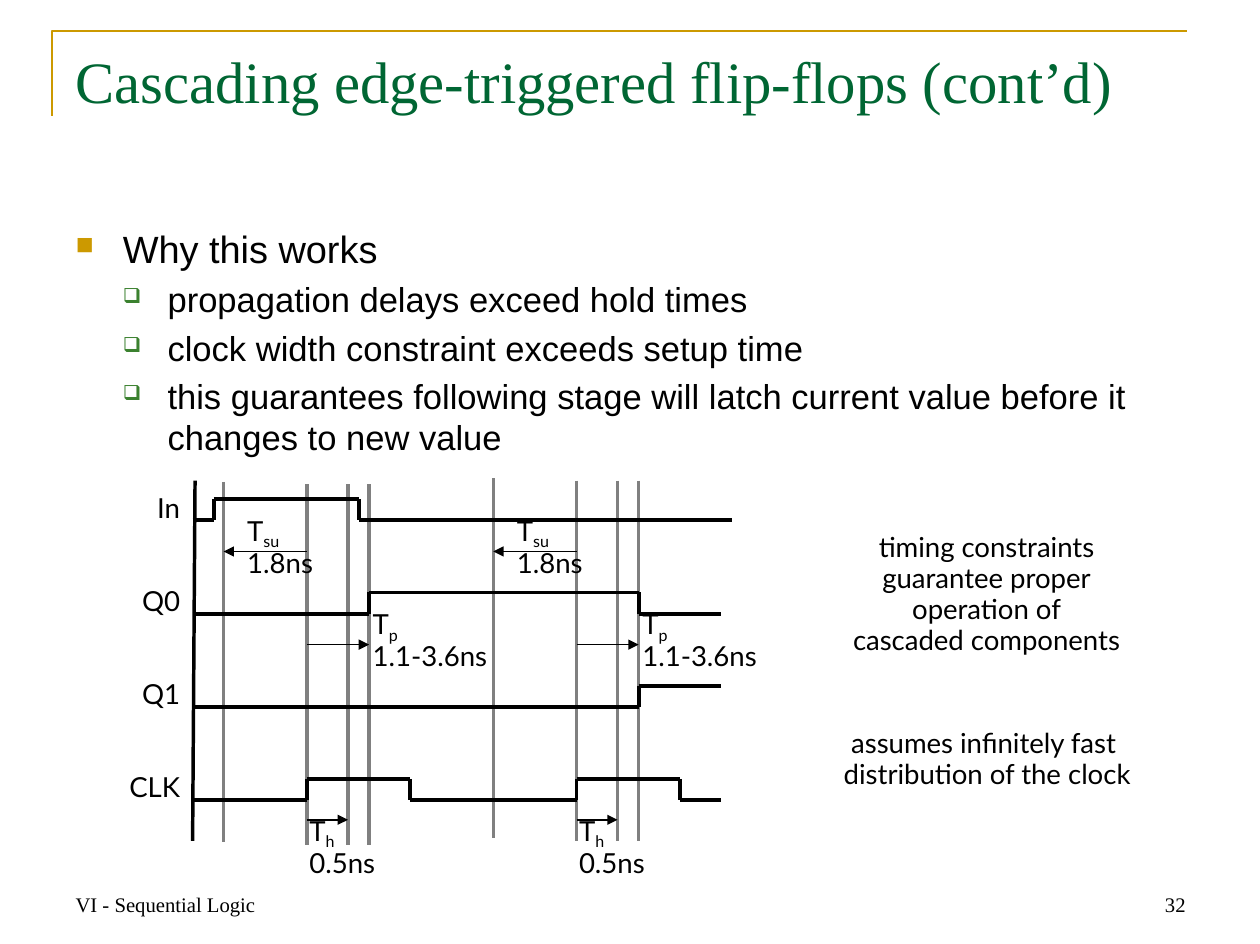
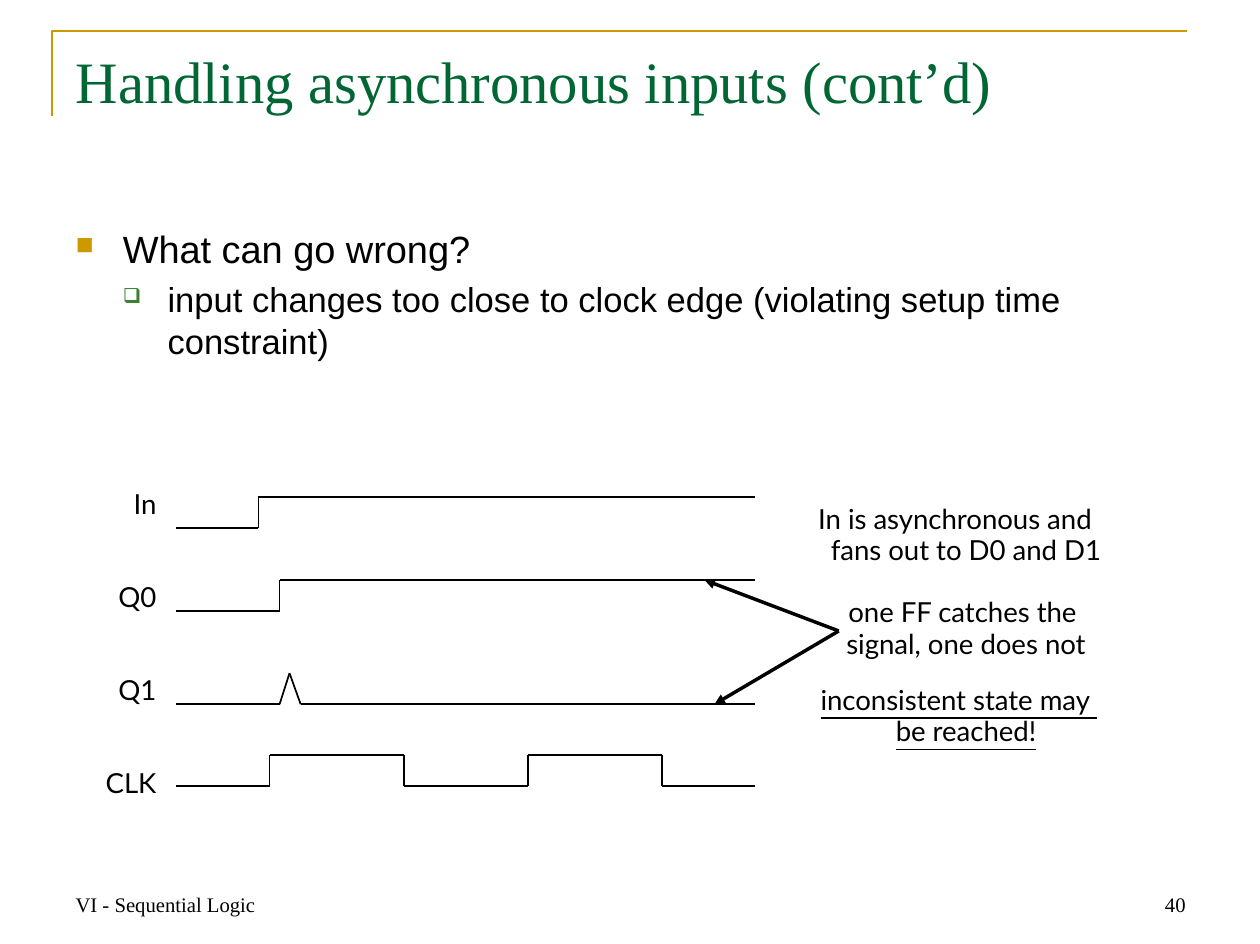
from itertools import pairwise
from lxml.etree import SubElement
from pptx import Presentation
from pptx.dml.color import RGBColor
from pptx.enum.shapes import MSO_CONNECTOR
from pptx.enum.text import MSO_ANCHOR, MSO_AUTO_SIZE, PP_ALIGN
from pptx.oxml.ns import qn
from pptx.util import Pt

PX = 9144  # 100 px to the inch
GOLD = RGBColor(0xCC, 0x99, 0x00)
PINE = RGBColor(0x00, 0x66, 0x33)
LEAF = RGBColor(0x3B, 0x81, 0x2F)
GREY = RGBColor(0x80, 0x80, 0x80)
BLACK = RGBColor(0, 0, 0)
SERIF, SANS, LABEL = "Times New Roman", "Arial", "Lato"
LEFT, MID, RIGHT = PP_ALIGN.LEFT, PP_ALIGN.CENTER, PP_ALIGN.RIGHT


def line(slide, points, width, color=BLACK, arrow=False):
    """Join the points by straight lines, with an arrowhead if asked."""
    for start, end in pairwise(points):
        ends = [n * PX for n in start + end]
        link = slide.shapes.add_connector(MSO_CONNECTOR.STRAIGHT, *ends)
        link.line.color.rgb = color
        link.line.width = Pt(width)
        props = link.element.spPr
        if arrow:
            SubElement(props.find(qn("a:ln")), qn("a:tailEnd"), type="triangle")
        SubElement(props, qn("a:effectLst"))


def text(slide, box, rows, align=LEFT, pitch=None, font=LABEL, size=16,
         pad=(2, 3), wrap=False):
    """Add one paragraph per row; the second run of a row is a subscript."""
    frame = slide.shapes.add_textbox(*[n * PX for n in box]).text_frame
    frame.word_wrap = wrap
    frame.margin_left = frame.margin_right = pad[0] * PX
    frame.margin_top = frame.margin_bottom = pad[1] * PX
    for i, row in enumerate(rows):
        para = frame.add_paragraph() if i else frame.paragraphs[0]
        para.alignment = align
        if pitch:
            para.line_spacing = Pt(pitch)
        for j, words in enumerate(row):
            for k, piece in enumerate(words.split("\n")):
                if k:
                    para.add_line_break()
                run = para.add_run()
                run.text = piece
                run.font.name = font
                run.font.size = Pt(size)
                run.font.color.rgb = BLACK
                if j:
                    run._r.get_or_add_rPr().set("baseline", "-25000")
    return frame


deck = Presentation()
deck.slide_width, deck.slide_height = 1014 * PX, 760 * PX
layout = deck.slide_layouts[5]

# Shared frame: title, bullets, footer, signal names
pages = [
    ("Cascading edge-triggered flip-flops (cont’d)", "32", (97, 377, 50, 276), 30,
     ["Why this works",
      "propagation delays exceed hold times",
      "clock width constraint exceeds setup time",
      "this guarantees following stage will latch current value before it "
      "changes to new value"]),
    ("Handling asynchronous inputs (cont’d)", "40", (28, 378, 100, 276), 27,
     ["What can go wrong?",
      "input changes too close to clock edge (violating setup time constraint)"]),
]
# Level: size, left margin, hanging indent, bullet, its colour, its percent
levels = [(22, 38, 38, "■", GOLD, 65), (20, 74, 36, "❑", LEAF, 60)]

for heading, number, names, pitch, points in pages:
    slide = deck.slides.add_slide(layout)
    title = slide.shapes.title
    title.left, title.top, title.width, title.height = [
        n * PX for n in (51, 31, 912, 126)]
    frame = title.text_frame
    frame.auto_size = MSO_AUTO_SIZE.NONE
    frame.vertical_anchor = MSO_ANCHOR.TOP
    frame.paragraphs[0].alignment = LEFT
    run = frame.paragraphs[0].add_run()
    run.text = heading
    run.font.name, run.font.size = SERIF, Pt(34)
    run.font.color.rgb = PINE

    body = text(slide, (51, 177, 912, 502), [[p] for p in points],
                font=SANS, pad=(10, 5), wrap=True)
    for i, para in enumerate(body.paragraphs):
        depth = min(i, 1)
        size, margin, hang, mark, color, share = levels[depth]
        props = para._p.get_or_add_pPr()
        props.set("marL", str(margin * PX))
        props.set("indent", str(-hang * PX))
        tint = SubElement(props, qn("a:buClr"))
        SubElement(tint, qn("a:srgbClr"), val=str(color))
        SubElement(props, qn("a:buSzPct"), val=str(share * 1000))
        SubElement(props, qn("a:buChar"), char=mark)
        para.level = depth
        para.runs[0].font.size = Pt(size)
        if i:
            para.space_before = Pt(4)

    for left, words, align in ((51, "VI - Sequential Logic", LEFT),
                               (727, number, RIGHT)):
        foot = text(slide, (left, 692, 237, 51), [[words]], align,
                    font=SERIF, size=12, pad=(10, 5), wrap=True)
        foot.vertical_anchor = MSO_ANCHOR.BOTTOM

    side = text(slide, names, [["In"], ["Q0"], ["Q1"], ["CLK"]], RIGHT, pitch)
    for para in side.paragraphs[1:]:
        para.space_before = Pt(54 - pitch)

first, second = deck.slides

# The gold corner rule lives on the layout
path = first.shapes.build_freeform(42, 93, scale=PX)
path.add_line_segments([(42, 25), (955, 25)], close=False)
corner = path.convert_to_shape()
corner.fill.background()
corner.line.color.rgb = GOLD
corner.line.width = Pt(1.5)
corner.shadow.inherit = False
layout.shapes.element.append(corner.element)

# Slide 1: two clock cycles with their delays
rods = [(180, 388), (247, 390), (280, 390), (297, 390)]
# Subscript, value, label box, pitch of first row, arrow end and height
delays = [("su", "1.8ns", (197, 413, 70, 56), 20, 180, 444),
          ("p", "1.1-3.6ns", (298, 494, 110, 51), 16, 297, 519),
          ("h", "0.5ns", (247, 660, 70, 51), 16, 280, 660)]
for shift, rise in ((0, 0), (217, 3)):
    for x, top in rods:
        x, top = x + shift, top - rise
        line(first, [(x, top), (x, top + 290)], 2, GREY)
    for sub, value, (x, y, w, h), lead, end, level in delays:
        label = text(first, (x + shift, y, w, h), [["T", sub], [value]], pitch=16)
        label.paragraphs[0].line_spacing = Pt(lead)
        line(first, [(247 + shift, level), (end + shift, level)], 1, arrow=True)

line(first, [(155, 677), (157, 387)], 2)
waves = [
    [(155, 419), (172, 419), (172, 402), (289, 402), (289, 419), (589, 419)],
    [(155, 494), (297, 494), (297, 477), (514, 477), (514, 494), (580, 494)],
    [(155, 569), (514, 569), (514, 552), (580, 552)],
    [(155, 644), (247, 644), (247, 627), (330, 627), (330, 644),
     (464, 644), (464, 627), (547, 627), (547, 644), (580, 644)],
]
for wave in waves:
    line(first, wave, 2.25)

text(first, (650, 425, 288, 114),
     [["timing constraints"], ["guarantee proper"], ["operation of"],
      ["cascaded components"]], MID, 18)
text(first, (657, 583, 275, 82),
     [["assumes infinitely fast \ndistribution of the clock"]], MID, 18)

# Slide 2: one flip-flop catches the input, the other does not
waves = [
    [(142, 425), (208, 425), (208, 400), (608, 400)],
    [(142, 492), (225, 492), (225, 467), (608, 467)],
    [(142, 567), (225, 567), (233, 542), (242, 567), (608, 567)],
    [(142, 633), (217, 633), (217, 608), (325, 608), (325, 633),
     (425, 633), (425, 608), (533, 608), (533, 633), (608, 633)],
]
for wave in waves:
    line(second, wave, 1)
for tip in ((567, 467), (575, 567)):
    line(second, [(675, 508), tip], 2, arrow=True)

notes = text(second, (625, 403, 293, 231),
             [["In is asynchronous and \nfans out to D0 and D1"],
              ["one FF catches the \nsignal, one does not"],
              ["inconsistent state may \nbe reached!"]], MID, 18)
for para, hang, gap in zip(notes.paragraphs, (12, 0, 12), (0, 18, 15)):
    props = para._p.get_or_add_pPr()
    props.set("marL", str(12 * PX))
    props.set("indent", str(-hang * PX))
    if gap:
        para.space_before = Pt(gap)
for run in notes.paragraphs[2].runs:
    run.font.underline = True

deck.save("out.pptx")
